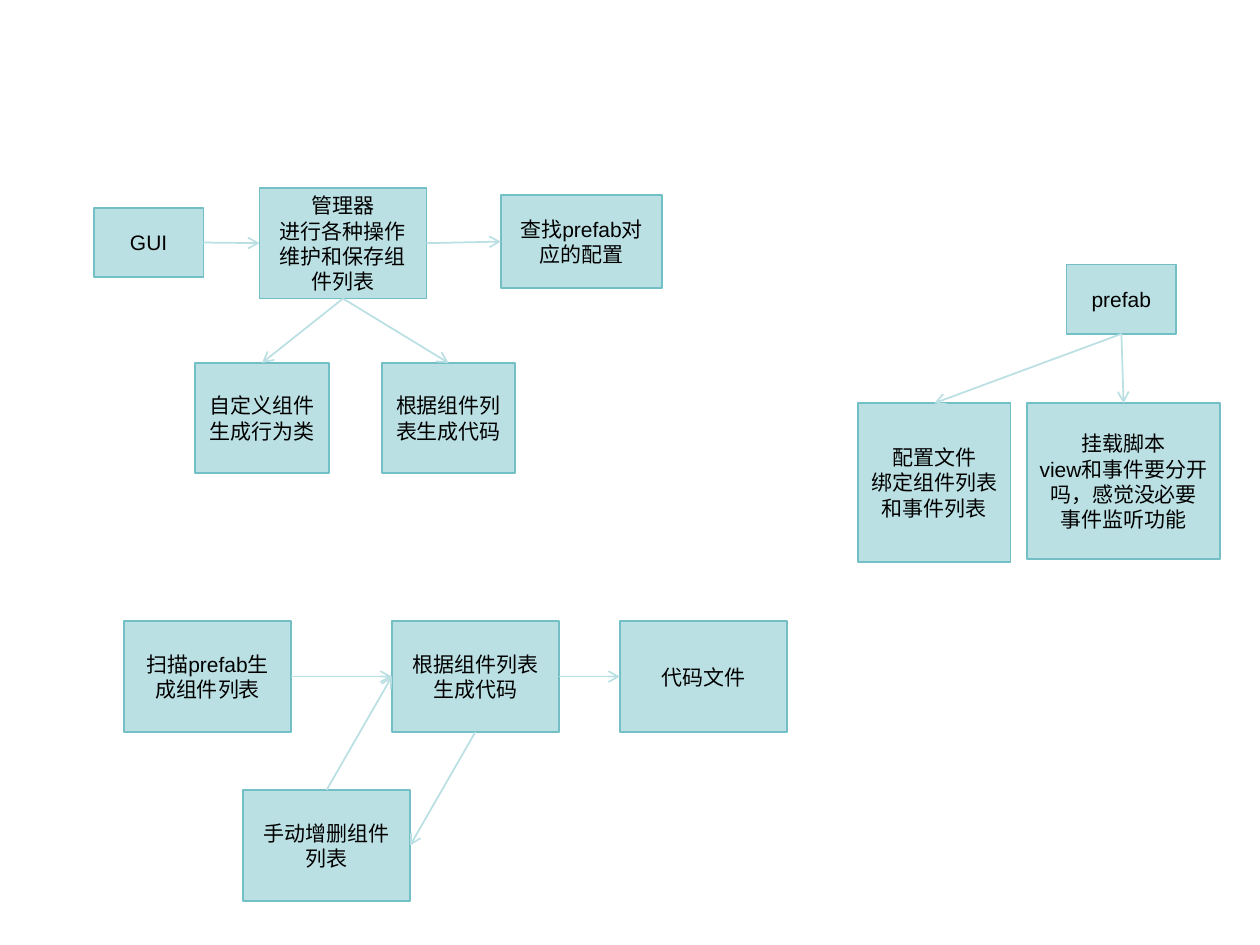
from lxml import etree
from pptx import Presentation
from pptx.dml.color import RGBColor
from pptx.enum.shapes import MSO_CONNECTOR as Connector, MSO_SHAPE as Shape
from pptx.enum.text import MSO_ANCHOR as Anchor, PP_ALIGN as Align
from pptx.oxml.ns import qn
from pptx.util import Inches, Pt

PALE_TEAL = RGBColor(0xBB, 0xE0, 0xE3)
TEAL = RGBColor(0x72, 0xBF, 0xC5)
BLACK = RGBColor(0, 0, 0)

SLIDE_WIDTH, SLIDE_HEIGHT = Inches(10), Inches(7.5)
COLUMN = SLIDE_WIDTH / 100
ROW = SLIDE_HEIGHT / 75

TOP, LEFT, BOTTOM, RIGHT = range(4)

SMALL = (8.7, 5.5)
NARROW = (10.6, 8.75)
STANDARD = (13.25, 8.8)
BRANCH_ROW = 28.8
GENERATION_ROW = 49.3
PREFAB_ROW = 32

STEPS = {
    "gui": (7.45, 16.5, SMALL, ["GUI"]),
    "manager": (20.6, 14.9, STANDARD,
                ["管理器", "进行各种操作", "维护和保存组件列表"]),
    "lookup": (39.75, 15.5, (12.8, 7.35), ["查找prefab对应的配置"]),
    "custom": (15.5, BRANCH_ROW, NARROW, ["自定义组件生成行为类"]),
    "code": (30.3, BRANCH_ROW, NARROW, ["根据组件列表生成代码"]),
    "prefab": (84.65, 21, SMALL, ["prefab"]),
    "config": (68.1, PREFAB_ROW, (12.1, 12.6),
               ["配置文件", "绑定组件列表", "和事件列表"]),
    "script": (81.5, PREFAB_ROW, (15.35, 12.4),
               ["挂载脚本", "view和事件要分开吗，感觉没必要", "事件监听功能"]),
    "scan": (9.85, GENERATION_ROW, STANDARD, ["扫描prefab生成组件列表"]),
    "generate": (31.1, GENERATION_ROW, STANDARD, ["根据组件列表生成代码"]),
    "output": (49.2, GENERATION_ROW, STANDARD, ["代码文件"]),
    "edit": (19.3, 62.7, STANDARD, ["手动增删组件列表"]),
}

FLOWS = [
    ("gui", RIGHT, "manager", LEFT),
    ("manager", RIGHT, "lookup", LEFT),
    ("manager", BOTTOM, "custom", TOP),
    ("manager", BOTTOM, "code", TOP),
    ("prefab", BOTTOM, "config", TOP),
    ("prefab", BOTTOM, "script", TOP),
    ("scan", RIGHT, "generate", LEFT),
    ("generate", RIGHT, "output", LEFT),
    ("generate", BOTTOM, "edit", RIGHT),
    ("edit", TOP, "generate", LEFT),
]


def add_step(slide, column, row, size, lines):
    columns, rows = size
    step = slide.shapes.add_shape(
        Shape.RECTANGLE, round(column * COLUMN), round(row * ROW),
        round(columns * COLUMN), round(rows * ROW))
    step.shadow.inherit = False
    step.fill.solid()
    step.fill.fore_color.rgb = PALE_TEAL
    step.line.color.rgb = TEAL
    step.line.width = Pt(1)
    frame = step.text_frame
    frame.word_wrap = True
    frame.vertical_anchor = Anchor.MIDDLE
    frame.text = "\n".join(lines)
    for paragraph in frame.paragraphs:
        paragraph.alignment = Align.CENTER
        paragraph.font.name = "Arial"
        paragraph.font.size = Pt(12)
        paragraph.font.color.rgb = BLACK
    return step


def add_flow(slide, source, source_side, target, target_side):
    flow = slide.shapes.add_connector(Connector.STRAIGHT, 0, 0, 0, 0)
    flow.begin_connect(source, source_side)
    flow.end_connect(target, target_side)
    flow.line.color.rgb = PALE_TEAL
    flow.line.width = Pt(1)
    properties = flow.element.spPr
    outline = properties.find(qn("a:ln"))
    etree.SubElement(outline, qn("a:tailEnd"), type="arrow")
    etree.SubElement(properties, qn("a:effectLst"))


def main():
    presentation = Presentation()
    presentation.slide_width = SLIDE_WIDTH
    presentation.slide_height = SLIDE_HEIGHT
    slide = presentation.slides.add_slide(presentation.slide_layouts[6])
    steps = {key: add_step(slide, *place) for key, place in STEPS.items()}
    for source, source_side, target, target_side in FLOWS:
        add_flow(slide, steps[source], source_side, steps[target], target_side)
    presentation.save("out.pptx")


if __name__ == "__main__":
    main()
